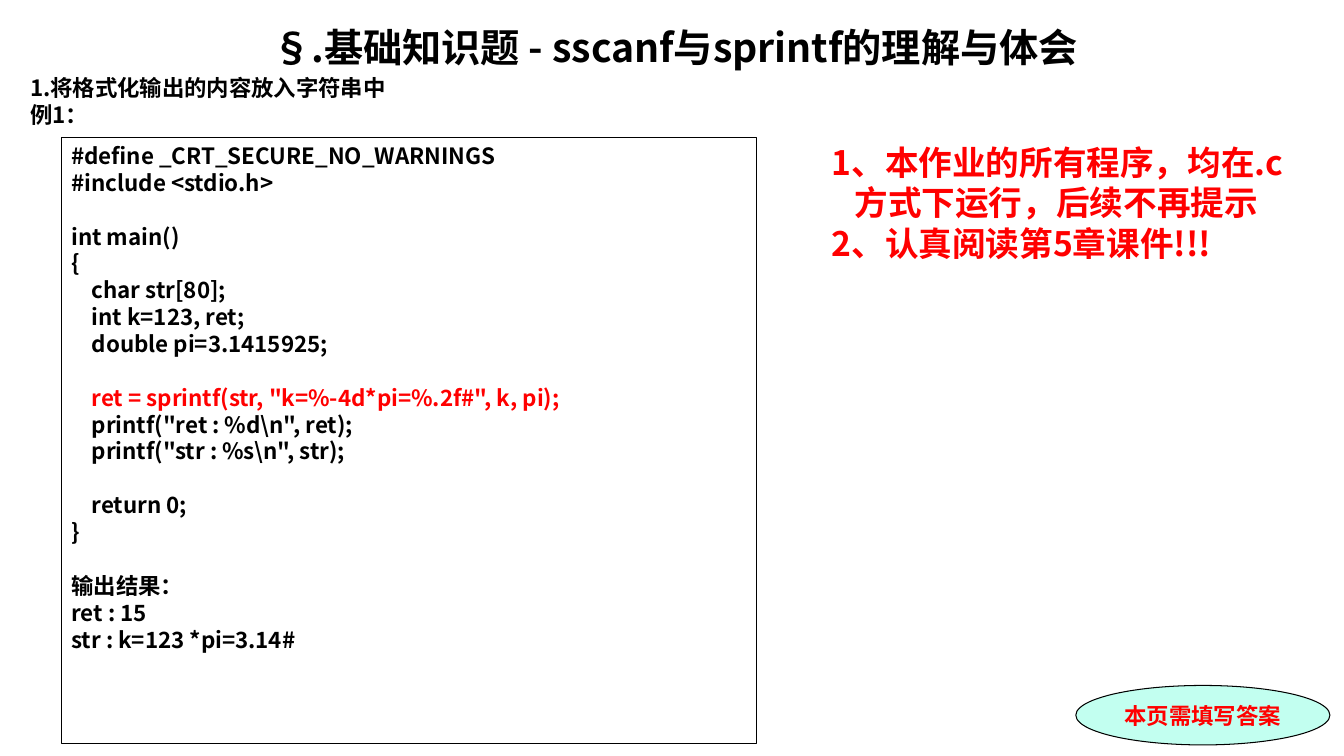
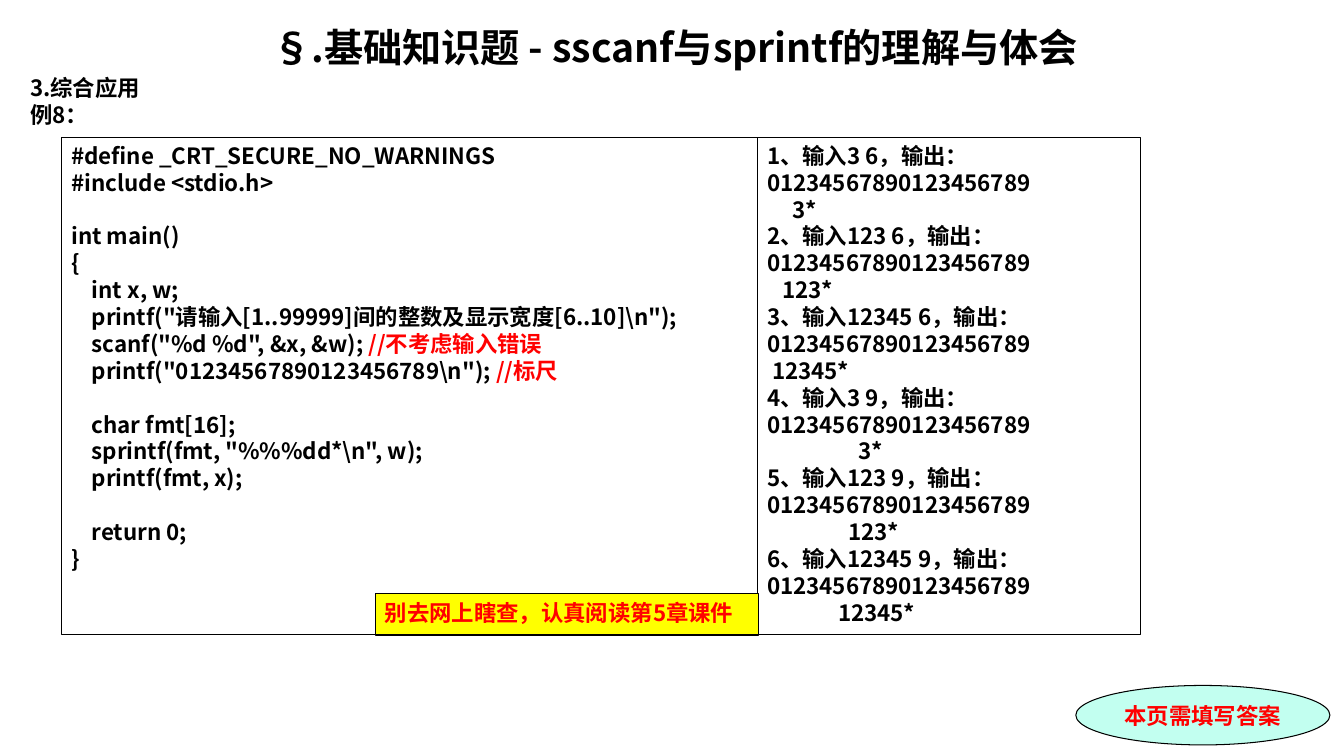
"""Build two slides on sscanf and sprintf exercises."""
from lxml import etree
from pptx import Presentation
from pptx.dml.color import RGBColor
from pptx.enum import shapes, text
from pptx.oxml.ns import qn
from pptx.util import Inches, Pt

HUES = {"black": "000000", "red": "FF0000", "mint": "C2FFF0", "yellow": "FFFF00"}
SANS = "Noto Sans CJK SC"
SERIF = "Times New Roman"
TITLE = "§.基础知识题 - sscanf与sprintf的理解与体会"
BADGE = "本页需填写答案"
HINT = "别去网上瞎查，认真阅读第5章课件"
NOTES = """1、本作业的所有程序，均在.c
   方式下运行，后续不再提示
2、认真阅读第5章课件!!!"""
RULER = "01234567890123456789"
RECT = shapes.MSO_SHAPE.RECTANGLE
OVAL = shapes.MSO_SHAPE.OVAL

FIRST = r"""#define _CRT_SECURE_NO_WARNINGS
#include <stdio.h>

int main()
{
    char str[80];
    int k=123, ret;
    double pi=3.1415925;

|    ret = sprintf(str, "k=%-4d*pi=%.2f#", k, pi);
    printf("ret : %d\n", ret);
    printf("str : %s\n", str);

    return 0;
}

输出结果：
ret : 15
str : k=123 *pi=3.14#"""

LAST = r"""#define _CRT_SECURE_NO_WARNINGS
#include <stdio.h>

int main()
{
    int x, w;
    printf("请输入[1..99999]间的整数及显示宽度[6..10]\n");
    scanf("%d %d", &x, &w); |//不考虑输入错误
    printf("01234567890123456789\n"); |//标尺

    char fmt[16];
    sprintf(fmt, "%%%dd*\n", w);
    printf(fmt, x);

    return 0;
}"""

cases = []
for wide, col in ((6, 6), (9, 19)):
    for num in ("3", "123", "12345"):
        rank = len(cases) // 3 + 1
        cases += [f"{rank}、输入{num} {wide}，输出：", RULER, num.rjust(col) + "*"]


def write(frame, lines, size=16, ink="black", face=SANS):
    """Fill a frame line by line; text after a bar turns red."""
    frame.word_wrap = True
    for i, line in enumerate(lines):
        para = frame.paragraphs[0] if i == 0 else frame.add_paragraph()
        para.alignment = text.PP_ALIGN.LEFT
        for part, hue in zip(line.split("|"), (ink, "red")):
            if part:
                run = para.add_run()
                run.text = part
                run.font.name = face
                run.font.size = Pt(size)
                run.font.bold = True
                run.font.color.rgb = RGBColor.from_string(HUES[hue])
                east = etree.Element(qn("a:ea"), typeface=SANS)
                run.font._element.find(qn("a:latin")).addnext(east)
        if not line:
            end = etree.SubElement(para._p, qn("a:endParaRPr"), sz=str(size * 100), b="1")
            for tag in ("a:latin", "a:ea"):
                etree.SubElement(end, qn(tag), typeface=face)


def panel(slide, box, lines, kind=RECT, fill=None, **look):
    """Add an outlined shape with text."""
    shape = slide.shapes.add_shape(kind, *map(Inches, box))
    shape.shadow.inherit = False
    if fill:
        shape.fill.solid()
        shape.fill.fore_color.rgb = RGBColor.from_string(HUES[fill])
    else:
        shape.fill.background()
    shape.line.color.rgb = RGBColor.from_string(HUES["black"])
    shape.line.width = Pt(0.75)
    shape.text_frame.vertical_anchor = text.MSO_ANCHOR.TOP
    write(shape.text_frame, lines, **look)
    return shape.text_frame


deck = Presentation()
deck.slide_width = Inches(13.33)
deck.slide_height = Inches(7.5)

pages = []
for topic, label in (("1.将格式化输出的内容放入字符串中", "例1："), ("3.综合应用", "例8：")):
    page = deck.slides.add_slide(deck.slide_layouts[6])
    pages.append(page)
    head = page.shapes.add_textbox(*map(Inches, (0.2, 0.18, 12.99, 0.52))).text_frame
    write(head, [TITLE], size=28)
    head.paragraphs[0].alignment = text.PP_ALIGN.CENTER
    intro = page.shapes.add_textbox(*map(Inches, (0.2, 0.69, 12.99, 0.64))).text_frame
    write(intro, [topic, label])
    badge = panel(page, (10.67, 6.8, 2.52, 0.59), [BADGE], OVAL, "mint", ink="red", face=SERIF)
    badge.vertical_anchor = text.MSO_ANCHOR.MIDDLE
    badge.paragraphs[0].alignment = text.PP_ALIGN.CENTER

one, two = pages
panel(one, (0.61, 1.36, 6.89, 6.02), FIRST.split("\n"))
notes = one.shapes.add_textbox(*map(Inches, (8.15, 1.36, 4.8, 1.37))).text_frame
write(notes, NOTES.split("\n"), size=24, ink="red")

panel(two, (0.61, 1.36, 6.9, 4.94), LAST.split("\n"))
panel(two, (7.51, 1.36, 3.8, 4.94), cases)
panel(two, (3.72, 5.89, 3.8, 0.41), [HINT], fill="yellow", ink="red")

deck.save("out.pptx")
